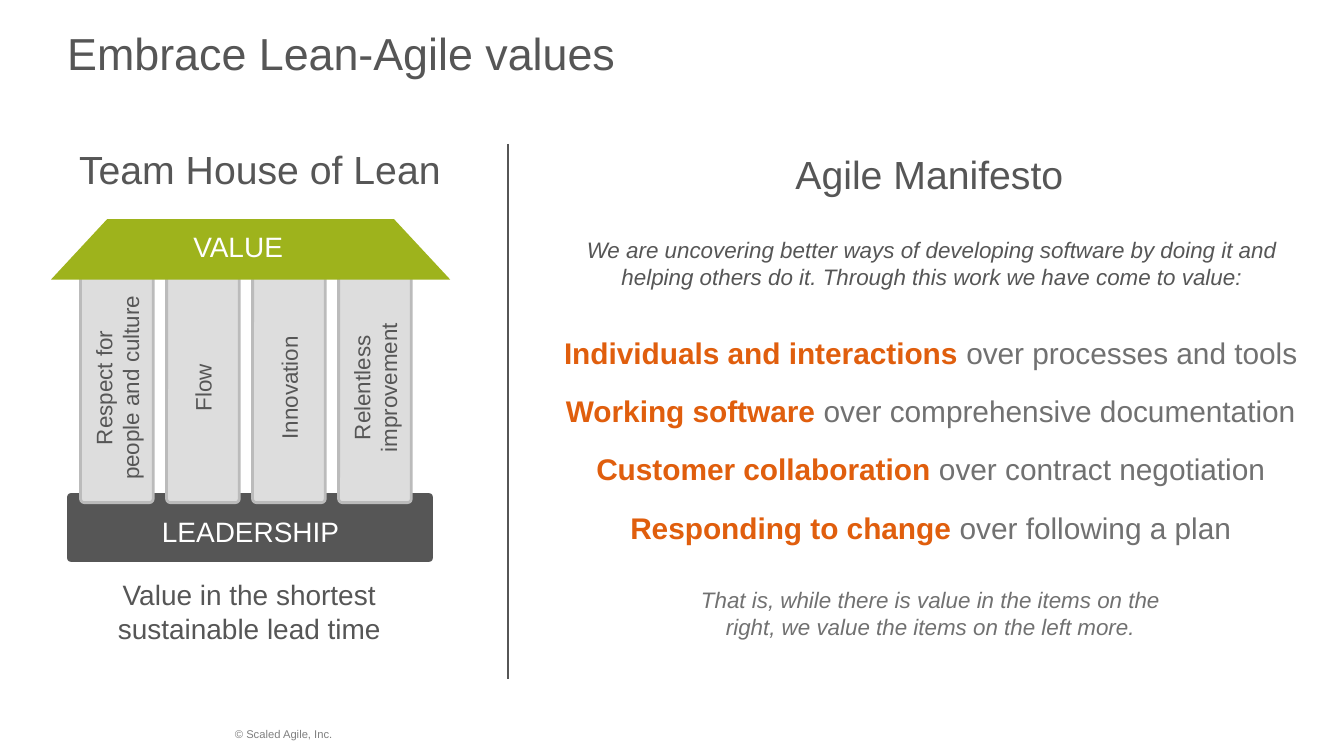
from lxml import etree
from pptx import Presentation
from pptx import util as u
from pptx.dml.color import RGBColor
from pptx.enum import shapes, text
from pptx.oxml import ns

DARK = RGBColor(0x56, 0x56, 0x56)
GRAY = RGBColor(0x71, 0x71, 0x71)
FOOTER_GRAY = RGBColor(0x80, 0x80, 0x80)
PILLAR_FILL = RGBColor(0xDD, 0xDD, 0xDD)
PILLAR_EDGE = RGBColor(0xBB, 0xBB, 0xBB)
GREEN = RGBColor(0x9E, 0xB3, 0x1C)
ORANGE = RGBColor(0xE0, 0x5E, 0x0D)
WHITE = RGBColor(0xFF, 0xFF, 0xFF)

LEFT = text.PP_ALIGN.LEFT
CENTER = text.PP_ALIGN.CENTER
PRESET = shapes.MSO_SHAPE


class SlideBuilder:
    font_name = "Arial"

    def __init__(self, slide):
        self.slide = slide

    def style(self, font, size, color, **values):
        values = {"name": self.font_name, "size": u.Pt(size), **values}
        for name, value in values.items():
            setattr(font, name, value)
        font.color.rgb = color

    def title(self, words, left, top, width, height):
        box = self.slide.shapes.title
        place = {"left": left, "top": top, "width": width, "height": height}
        for name, value in place.items():
            setattr(box, name, u.Inches(value))
        frame = box.text_frame
        for side in ("left", "top", "right", "bottom"):
            setattr(frame, f"margin_{side}", 0)
        frame.vertical_anchor = text.MSO_ANCHOR.TOP
        para = frame.paragraphs[0]
        para.alignment = LEFT
        span = para.add_run()
        span.text = words
        self.style(span.font, 24, DARK)

    def text(self, paragraphs, place, size, color=DARK, align=CENTER,
             wrap=True, space_after=0, rotation=0, **font_values):
        """Add a text box; each paragraph is a list of (words, overrides)."""
        box = self.slide.shapes.add_textbox(*map(u.Inches, place))
        box.rotation = rotation
        frame = box.text_frame
        frame.word_wrap = wrap
        frame.auto_size = text.MSO_AUTO_SIZE.SHAPE_TO_FIT_TEXT
        for index, spans in enumerate(paragraphs):
            para = frame.add_paragraph() if index else frame.paragraphs[0]
            para.alignment = align
            para.space_after = u.Pt(space_after)
            for words, overrides in spans:
                span = para.add_run()
                span.text = words
                values = {"color": color, **font_values, **overrides}
                self.style(span.font, size, **values)

    def lines(self, words, place, size, **options):
        """Add a text box with one plain paragraph per line of words."""
        self.text([[(line, {})] for line in words.split("\n")],
                  place, size, **options)

    def heading(self, words, place):
        self.lines(words, place, 21, align=LEFT, wrap=False)

    def shape(self, kind, place, fill, adjustment, edge=None):
        shape = self.slide.shapes.add_shape(kind, *map(u.Inches, place))
        shape.shadow.inherit = False
        shape.adjustments[0] = adjustment
        shape.fill.solid()
        shape.fill.fore_color.rgb = fill
        if edge is None:
            shape.line.fill.background()
        else:
            shape.line.color.rgb = edge
            shape.line.width = u.Pt(1.5)

    def divider(self, x, top, bottom):
        line = self.slide.shapes.add_connector(
            shapes.MSO_CONNECTOR.STRAIGHT,
            *map(u.Inches, (x, top, x, bottom)))
        line.line.color.rgb = DARK
        line.line.width = u.Pt(0.75)
        etree.SubElement(line._element.spPr, ns.qn("a:effectLst"))


def draw_house(page):
    page.shape(PRESET.ROUNDED_RECTANGLE, (0.5, 3.67, 2.72, 0.51), DARK, 0.05)
    page.lines("LEADERSHIP", (0.51, 3.78, 2.71, 0.42), 15, color=WHITE)

    left, step, top, width, height = 0.6, 0.64, 2.03, 0.54, 1.71
    pillars = [
        ("Respect for\npeople and culture", 1.58, 0.5),
        ("Flow", 0.56, 0.3),
        ("Innovation", 0.98, 0.3),
        ("Relentless\nimprovement", 1.17, 0.5),
    ]
    for index in range(len(pillars)):
        page.shape(PRESET.ROUNDED_RECTANGLE,
                   (left + index * step, top, width, height),
                   PILLAR_FILL, 0.05, PILLAR_EDGE)
    for index, (label, label_width, label_height) in enumerate(pillars):
        place = (left + index * step + (width - label_width) / 2,
                 top + (height - label_height) / 2, label_width, label_height)
        page.lines(label, place, 12, wrap=False, rotation=270)

    page.shape(PRESET.TRAPEZOID, (0.38, 1.63, 2.97, 0.45), GREEN, 0.93)
    page.lines("VALUE", (1.34, 1.66, 1.03, 0.42), 15, color=WHITE,
               align=LEFT, wrap=False)


def draw_manifesto(page):
    page.heading("Agile Manifesto", (5.82, 1.07, 2.21, 0.45))
    page.lines("We are uncovering better ways of developing software by doing "
               "it and helping others do it. Through this work we have come "
               "to value:", (4.19, 1.71, 5.49, 0.5), 12, italic=True)
    values = [
        ("Individuals and interactions", "processes and tools"),
        ("Working software", "comprehensive documentation"),
        ("Customer collaboration", "contract negotiation"),
        ("Responding to change", "following a plan"),
    ]
    strong = {"color": ORANGE, "bold": True}
    page.text([[(f"{more} ", strong), (f"over {less}", {})]
               for more, less in values],
              (4.02, 2.44, 5.81, 1.68), 16, color=GRAY, space_after=12,
              bold=False)
    page.lines("That is, while there is value in the items on the right, "
               "we value the items on the left more.",
               (5.11, 4.31, 3.63, 0.5), 12, color=GRAY, italic=True)


def main():
    deck = Presentation()
    deck.slide_width = u.Inches(10)
    deck.slide_height = deck.slide_width * 9 // 16
    page = SlideBuilder(deck.slides.add_slide(deck.slide_layouts[5]))

    page.title("Embrace Lean-Agile values", 0.5, 0.19, 9, 0.37)
    page.heading("Team House of Lean", (0.49, 1.03, 2.93, 0.45))
    page.divider(3.78, 1.07, 5.05)
    draw_house(page)
    page.lines("Value in the shortest\nsustainable lead time",
               (0.23, 4.25, 3.25, 0.61), 15)
    draw_manifesto(page)
    page.lines("© Scaled Agile, Inc.", (1.65, 5.36, 2.07, 0.2), 6,
               color=FOOTER_GRAY, align=LEFT)
    deck.save("out.pptx")


if __name__ == "__main__":
    main()
